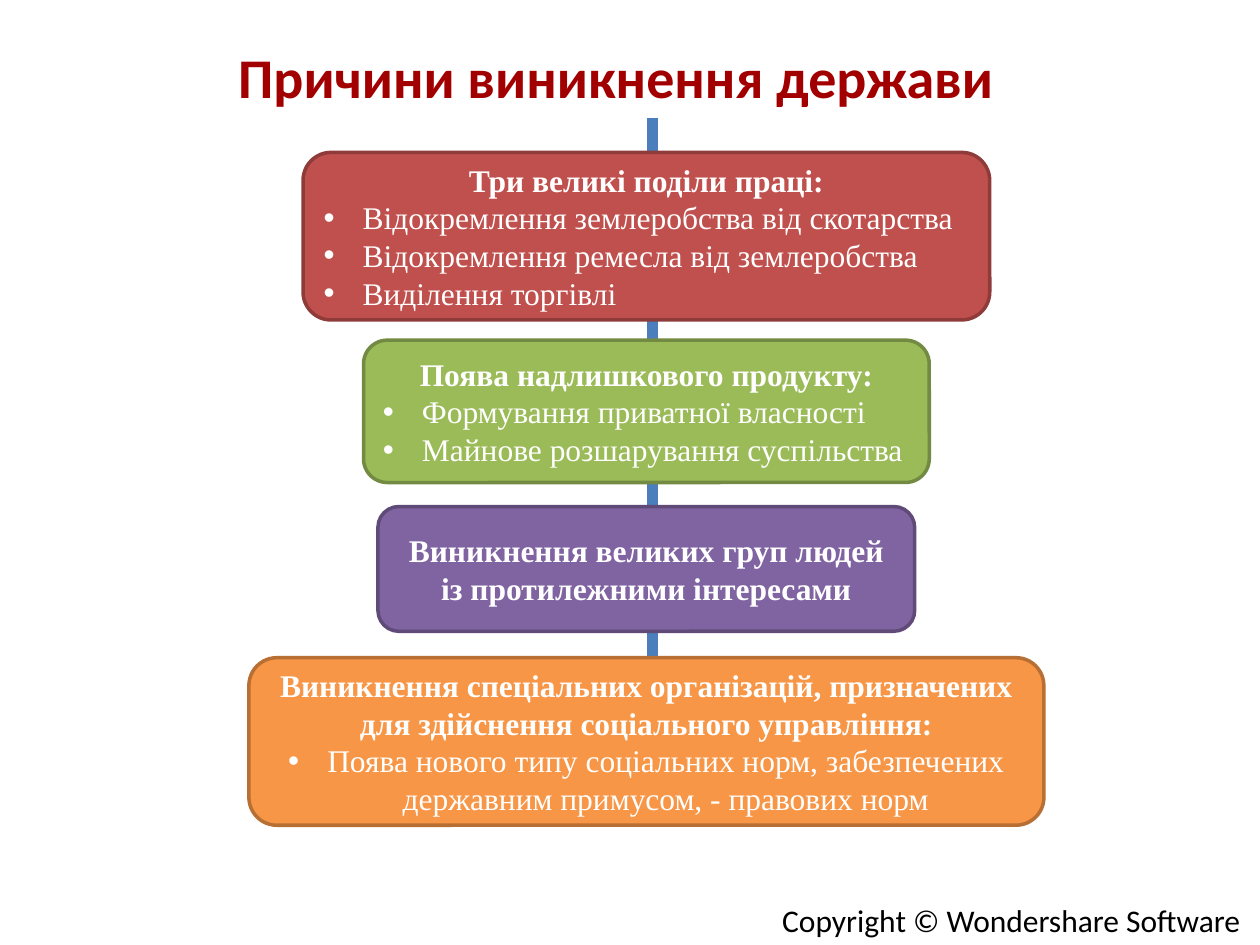
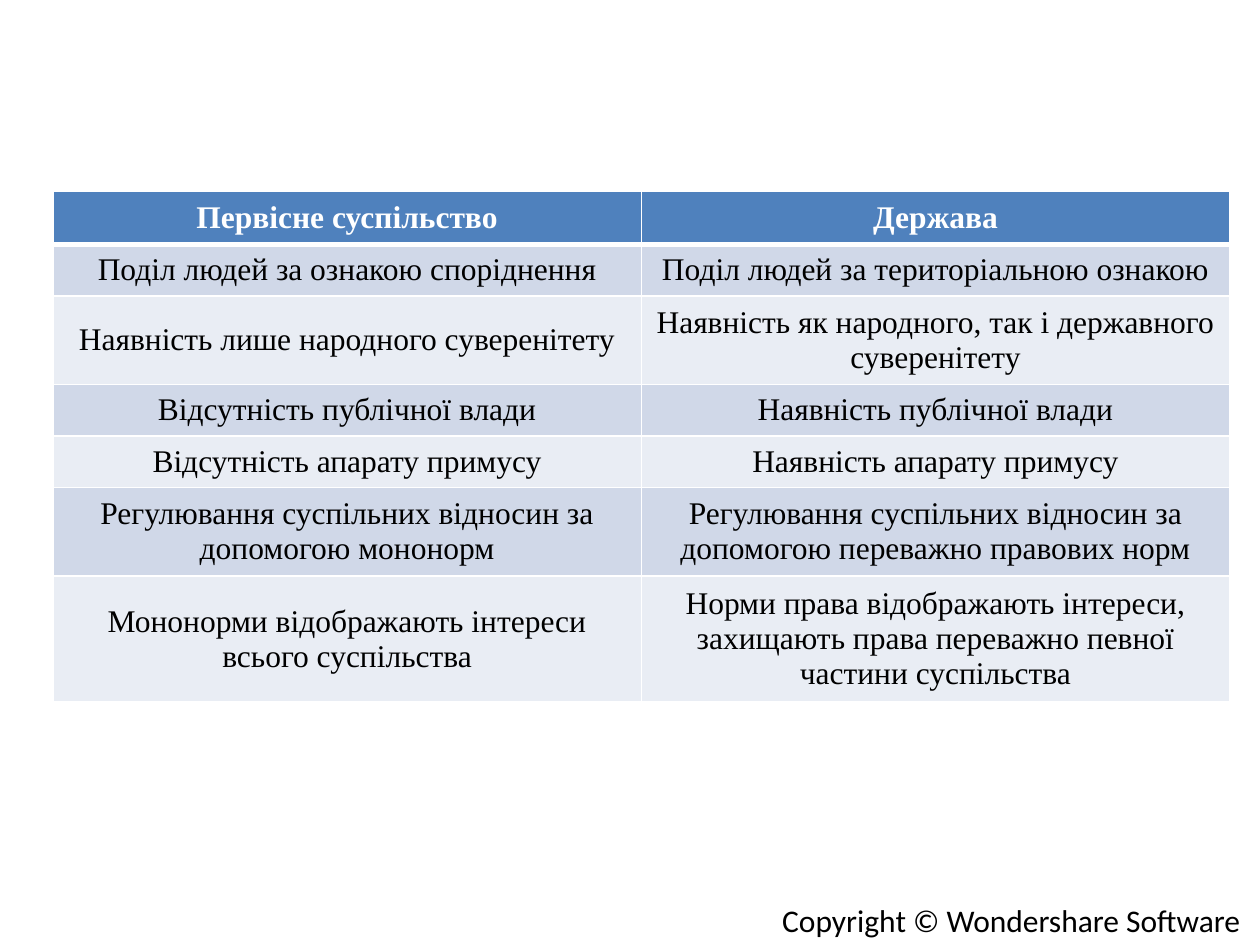
"""Build two slides on the origin of the state: a chain of causes and a comparison table."""
from lxml import etree
from pptx import Presentation
from pptx.dml.color import RGBColor
from pptx.enum import shapes, text
from pptx.oxml import ns
from pptx.util import Inches, Pt

COLORS = {
    "title": "A20000", "chain": "4B7EBC", "white": "FFFFFF", "black": "000000",
    "header": "4F81BD", "odd": "D0D8E8", "even": "E9EDF4",
}
HEADING_FONT, BODY_FONT = "Calibri", "Times New Roman"
TITLE = "Причини виникнення держави"
FOOTER = "Copyright © Wondershare Software"

CENTER, LEFT = text.PP_ALIGN.CENTER, text.PP_ALIGN.LEFT
CHAIN_X, CHAIN_TOP, CHAIN_BOTTOM = 5.18, 0.94, 6.37
BOX_CENTER = 5.13
CAUSES = [
    {"top": 1.21, "width": 5.45, "height": 1.33, "fill": "C0504D", "line": "8E3B39",
     "heading": "Три великі поділи праці:", "align": LEFT,
     "points": ["Відокремлення землеробства від скотарства",
                "Відокремлення ремесла від землеробства",
                "Виділення торгівлі"]},
    {"top": 2.7, "width": 4.49, "height": 1.13, "fill": "9BBB59", "line": "738A42",
     "heading": "Поява надлишкового продукту:", "align": LEFT,
     "points": ["Формування приватної власності",
                "Майнове розшарування суспільства"]},
    {"top": 4.02, "width": 4.26, "height": 0.99, "fill": "8064A2", "line": "5F4A78",
     "heading": "Виникнення великих груп людей із протилежними інтересами",
     "align": CENTER, "points": []},
    {"top": 5.22, "width": 6.31, "height": 1.33, "fill": "F79646", "line": "B76F34",
     "heading": "Виникнення спеціальних організацій, призначених "
                "для здійснення соціального управління:", "align": CENTER,
     "points": ["Поява нового типу соціальних норм, забезпечених "
                "державним примусом, - правових норм"]},
]

COMPARISON = [
    ("Первісне суспільство", "Держава"),
    ("Поділ людей за ознакою споріднення", "Поділ людей за територіальною ознакою"),
    ("Наявність лише народного суверенітету",
     "Наявність як народного, так і державного суверенітету"),
    ("Відсутність публічної влади", "Наявність публічної влади"),
    ("Відсутність апарату примусу", "Наявність апарату примусу"),
    ("Регулювання суспільних відносин за допомогою мононорм",
     "Регулювання суспільних відносин за допомогою переважно правових норм"),
    ("Мононорми відображають інтереси всього суспільства",
     "Норми права відображають інтереси, захищають права переважно певної "
     "частини суспільства"),
]
ROW_HEIGHTS = [0.42, 0.41, 0.7, 0.41, 0.41, 0.7, 1.0]
TABLE_LEFT, TABLE_TOP, TABLE_WIDTH = 0.42, 1.52, 9.34


def rgb(value):
    return RGBColor.from_string(value)


def style(paragraph, color, font=BODY_FONT, size=18, bold=False, align=CENTER):
    paragraph.alignment = align
    for run in paragraph.runs:
        run.font.name = font
        run.font.size = Pt(size)
        run.font.bold = bold
        run.font.color.rgb = rgb(COLORS[color])


def add_bullet(paragraph):
    properties = paragraph._p.get_or_add_pPr()
    properties.set("marL", str(Inches(0.31)))
    properties.set("indent", str(-Inches(0.31)))
    etree.SubElement(properties, ns.qn("a:buFont"), typeface="Arial")
    etree.SubElement(properties, ns.qn("a:buChar"), char="•")


def add_slide(presentation, layout_name):
    layout = presentation.slide_layouts.get_by_name(layout_name)
    slide = presentation.slides.add_slide(layout)
    footer = slide.shapes.add_textbox(Inches(6.11), Inches(7.1), Inches(3.89), Inches(0.4))
    footer.text_frame.text = FOOTER
    footer.text_frame.word_wrap = False
    style(footer.text_frame.paragraphs[0], "black", HEADING_FONT, align=LEFT)
    return slide


def add_title(slide):
    title = slide.shapes.title
    title.left, title.top = Inches(0.39), Inches(0.17)
    title.width, title.height = Inches(9), Inches(0.87)
    title.text_frame.text = TITLE
    title.text_frame.vertical_anchor = text.MSO_ANCHOR.MIDDLE
    style(title.text_frame.paragraphs[0], "title", HEADING_FONT, 32, True)


def add_chain(slide):
    chain = slide.shapes.add_connector(
        shapes.MSO_CONNECTOR.STRAIGHT, Inches(CHAIN_X), Inches(CHAIN_TOP),
        Inches(CHAIN_X), Inches(CHAIN_BOTTOM))
    chain.line.color.rgb = rgb(COLORS["chain"])
    chain.line.width = Pt(6)
    etree.SubElement(chain._element.spPr, ns.qn("a:effectLst"))


def add_cause(slide, cause):
    box = slide.shapes.add_shape(
        shapes.MSO_SHAPE.ROUNDED_RECTANGLE, Inches(BOX_CENTER - cause["width"] / 2),
        Inches(cause["top"]), Inches(cause["width"]), Inches(cause["height"]))
    box.shadow.inherit = False
    box.fill.solid()
    box.fill.fore_color.rgb = rgb(cause["fill"])
    box.line.color.rgb = rgb(cause["line"])
    box.line.width = Pt(2)
    frame = box.text_frame
    frame.word_wrap = True
    frame.vertical_anchor = text.MSO_ANCHOR.MIDDLE
    frame.text = cause["heading"]
    style(frame.paragraphs[0], "white", bold=True)
    for point in cause["points"]:
        paragraph = frame.add_paragraph()
        paragraph.text = point
        add_bullet(paragraph)
        style(paragraph, "white", align=cause["align"])


def add_border(cell, side, width):
    properties = cell._tc.get_or_add_tcPr()
    line = etree.SubElement(properties, ns.qn(f"a:ln{side}"), w=str(Pt(width)))
    fill = etree.SubElement(line, ns.qn("a:solidFill"))
    etree.SubElement(fill, ns.qn("a:srgbClr"), val=COLORS["white"])


def fill_cell(cell, content, row):
    header = row == 0
    cell.text_frame.text = content
    cell.vertical_anchor = text.MSO_ANCHOR.MIDDLE
    style(cell.text_frame.paragraphs[0], "white" if header else "black", bold=header)
    for side in "LRTB":
        thick = (header and side == "B") or (row == 1 and side == "T")
        add_border(cell, side, 3 if thick else 1)
    cell.fill.solid()
    band = "header" if header else "odd" if row % 2 else "even"
    cell.fill.fore_color.rgb = rgb(COLORS[band])


def add_comparison(slide):
    table = slide.shapes.add_table(
        len(COMPARISON), 2, Inches(TABLE_LEFT), Inches(TABLE_TOP),
        Inches(TABLE_WIDTH), Inches(sum(ROW_HEIGHTS))).table
    for row, (contents, height) in enumerate(zip(COMPARISON, ROW_HEIGHTS)):
        table.rows[row].height = Inches(height)
        for column, content in enumerate(contents):
            fill_cell(table.cell(row, column), content, row)


def main():
    presentation = Presentation()
    presentation.slide_width, presentation.slide_height = Inches(10), Inches(7.5)
    causes_slide = add_slide(presentation, "Title Only")
    add_title(causes_slide)
    add_chain(causes_slide)
    for cause in CAUSES:
        add_cause(causes_slide, cause)
    add_comparison(add_slide(presentation, "Blank"))
    presentation.save("out.pptx")


if __name__ == "__main__":
    main()
